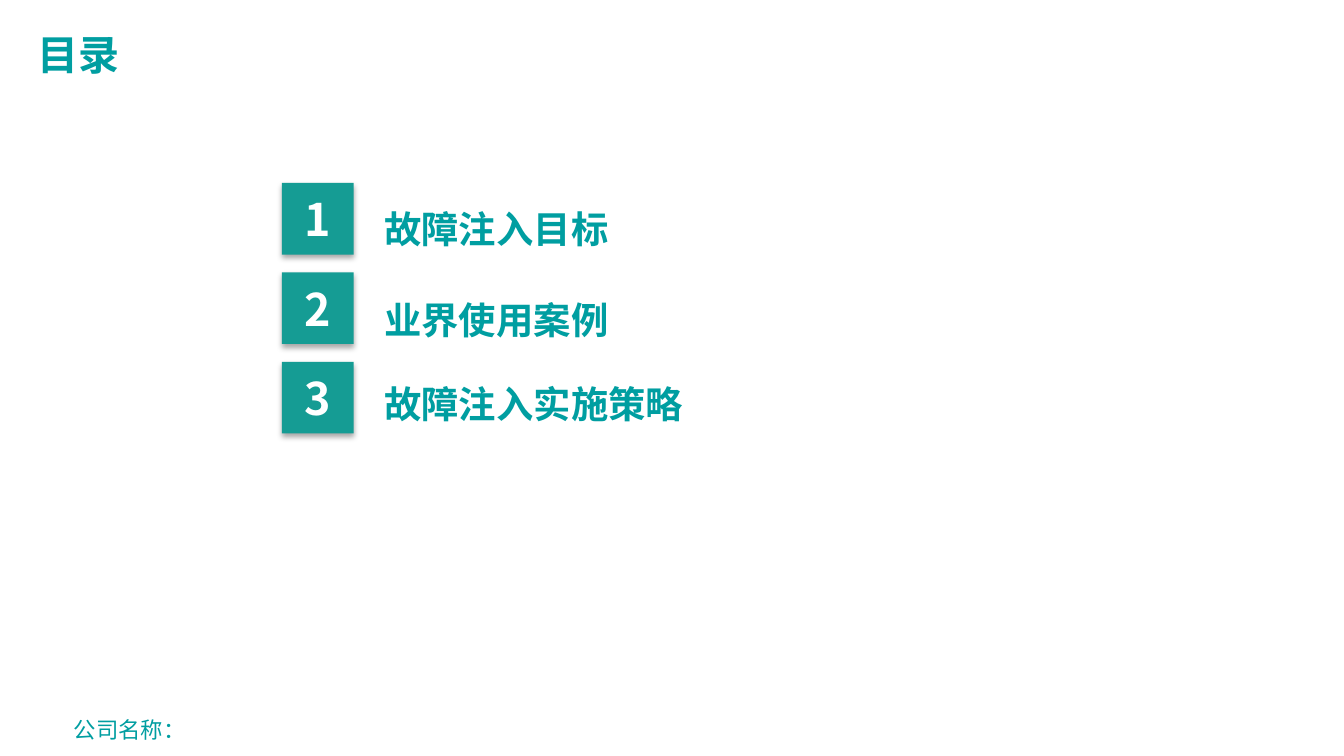
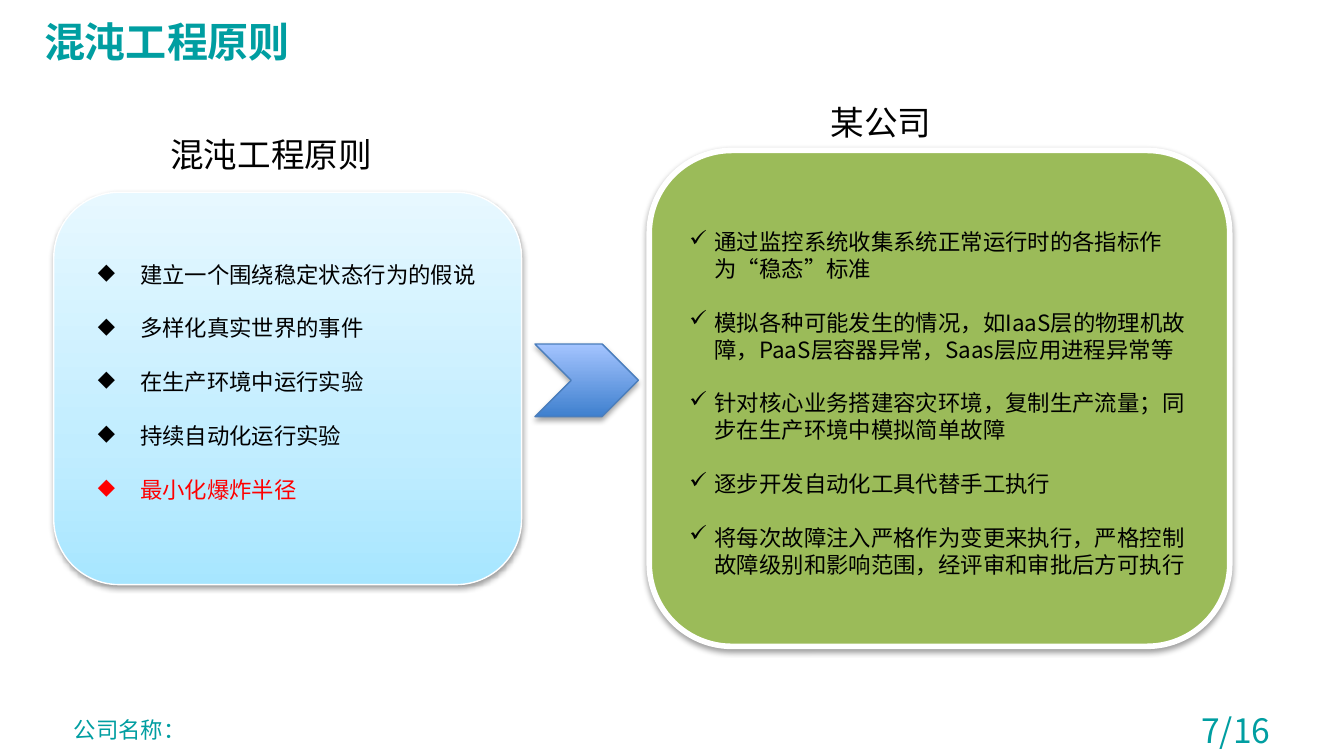
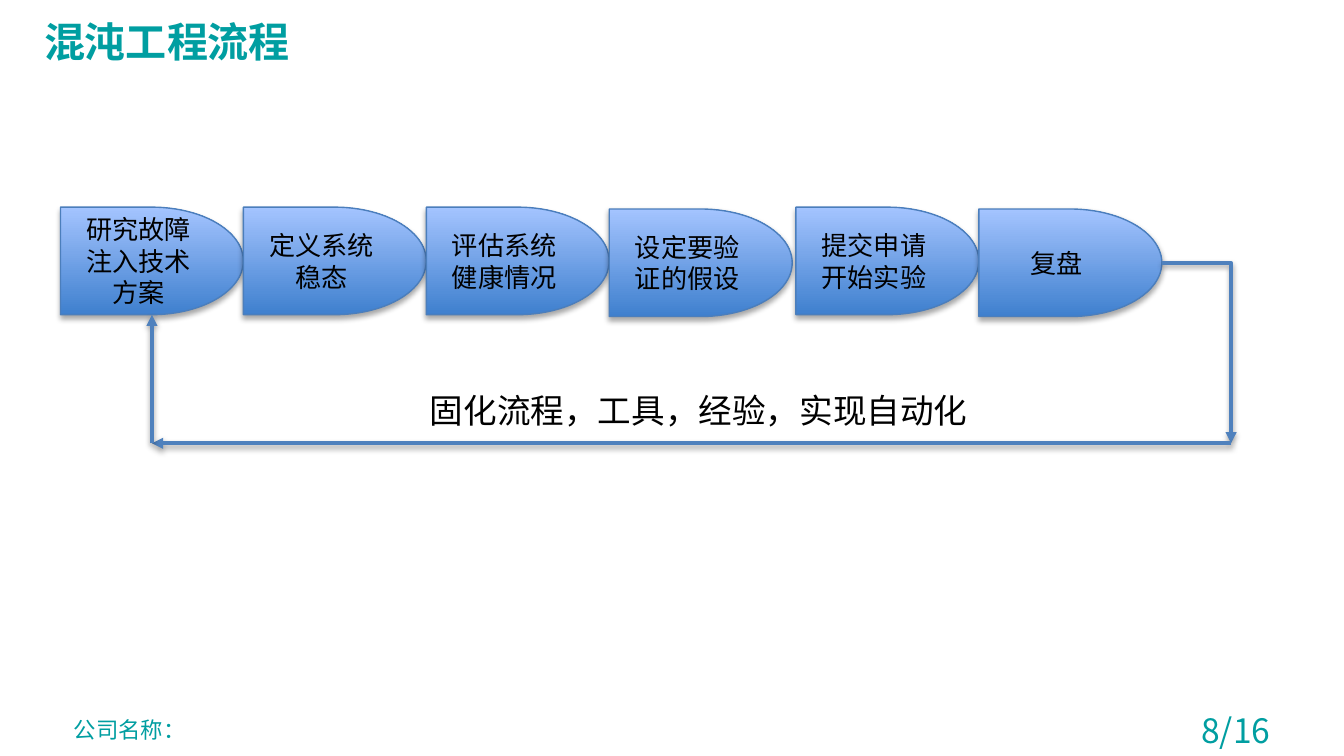
import pptx
import pptx.dml.color
import pptx.enum.shapes
import pptx.enum.text
import pptx.oxml
import pptx.oxml.ns
import pptx.util

Pt = pptx.util.Pt
RGB = pptx.dml.color.RGBColor
SHAPE = pptx.enum.shapes.MSO_SHAPE
CONNECTOR = pptx.enum.shapes.MSO_CONNECTOR
ANCHOR = pptx.enum.text.MSO_ANCHOR
ALIGN = pptx.enum.text.PP_ALIGN
qn = pptx.oxml.ns.qn

TEAL = RGB(0x00, 0x9E, 0xA1)
BADGE_TEAL = RGB(0x15, 0x9C, 0x94)
WHITE = RGB(0xFF, 0xFF, 0xFF)
BLACK = RGB(0x00, 0x00, 0x00)
RED = RGB(0xFF, 0x00, 0x00)
GREEN = RGB(0x9B, 0xBB, 0x59)
EDGE_BLUE = RGB(0x4B, 0x7E, 0xBC)
ARROW_BLUE = RGB(0x4F, 0x81, 0xBD)
BLUE_STOPS = [(0, RGB(0x3F, 0x80, 0xCE)), (100, RGB(0xA4, 0xC4, 0xFF))]
SKY_STOPS = [(0, RGB(0xA7, 0xE6, 0xFF)), (35, RGB(0xC1, 0xED, 0xFF)), (100, RGB(0xE7, 0xF8, 0xFF))]

FONT = "Noto Sans CJK SC"
SOFT = {"alpha": 35, "dist": 1.8}
DEEP = {"alpha": 38, "dist": 1.6}
TITLE = {"size": Pt(22), "bold": True, "color": TEAL}
ENTRY = {"size": Pt(20), "bold": True, "color": TEAL}
BADGE = {"size": Pt(24), "bold": True, "color": WHITE}
HEADING = {"size": Pt(18), "color": BLACK}
BODY = {"size": Pt(12), "color": BLACK}
STEP = {"size": Pt(14), "color": BLACK}
FOOTER = {"size": Pt(12), "color": TEAL}
PAGE = {"size": Pt(18), "color": TEAL}


def element(xml):
    """Build a drawing element from its inner tag text."""
    head, rest = xml.split(" ", 1)
    return pptx.oxml.parse_xml(f"{head} {pptx.oxml.ns.nsdecls('a')} {rest}")


def apply(target, values):
    """Set every named attribute on the target."""
    for name, value in values.items():
        setattr(target, name, value)


def write(paragraph, text, look):
    """Add one run with the given look."""
    run = paragraph.add_run()
    run.text = text
    apply(run.font, {"name": FONT, **{k: v for k, v in look.items() if k != "color"}})
    run.font.color.rgb = look["color"]
    run.font._element.find(qn("a:latin")).addnext(element(f'<a:ea typeface="{FONT}"/>'))


def label(slide, box, text, look, frame={}, paragraph={}):
    """Place a one-paragraph text box."""
    text_frame = slide.shapes.add_textbox(*map(Pt, box)).text_frame
    apply(text_frame, {"word_wrap": True, **frame})
    apply(text_frame.paragraphs[0], paragraph)
    write(text_frame.paragraphs[0], text, look)


def cast_shadow(effects, alpha, dist):
    """Add a downward shadow to an effect list."""
    effects.append(element(
        f'<a:outerShdw blurRad="{Pt(3.1)}" dist="{Pt(dist)}" dir="5400000" rotWithShape="0">'
        f'<a:srgbClr val="000000"><a:alpha val="{alpha * 1000}"/></a:srgbClr></a:outerShdw>'))


def block(slide, kind, box, fill, edge, shadow, text="", look=None):
    """Place a filled shape with an optional edge and centred text."""
    shape = slide.shapes.add_shape(kind, *map(Pt, box))
    if isinstance(fill, list):
        stops = "".join(f'<a:gs pos="{at * 1000}"><a:srgbClr val="{color}"/></a:gs>' for at, color in fill)
        shape._element.spPr.insert(2, element(
            f'<a:gradFill rotWithShape="1"><a:gsLst>{stops}</a:gsLst>'
            '<a:lin ang="16200000" scaled="0"/></a:gradFill>'))
    else:
        shape.fill.solid()
        shape.fill.fore_color.rgb = fill
    if edge:
        shape.line.color.rgb, shape.line.width = edge[0], Pt(edge[1])
    else:
        shape.line.fill.background()
    shape.shadow.inherit = False
    cast_shadow(shape._element.spPr.find(qn("a:effectLst")), **shadow)
    if text:
        apply(shape.text_frame, {"word_wrap": True, "vertical_anchor": ANCHOR.MIDDLE})
        paragraph = shape.text_frame.paragraphs[0]
        paragraph.alignment = ALIGN.CENTER
        write(paragraph, text, look)
    return shape


def arrow(slide, kind, start, end):
    """Draw a shadowed arrow between two points."""
    line = slide.shapes.add_connector(kind, *map(Pt, start + end))
    line.line.color.rgb, line.line.width = ARROW_BLUE, Pt(2)
    line.line._get_or_add_ln().append(element('<a:tailEnd type="triangle"/>'))
    effects = element("<a:effectLst />")
    line._element.spPr.append(effects)
    cast_shadow(effects, **DEEP)
    return line


def new_slide(deck, title="", page=""):
    """Add a blank slide with the shared title and footer."""
    slide = deck.slides.add_slide(deck.slide_layouts[6])
    middle = {"vertical_anchor": ANCHOR.MIDDLE}
    label(slide, (32.4, 378, 108, 26), "公司名称：", FOOTER, middle)
    if page:
        label(slide, (576, 378, 111.6, 26.6), page, PAGE, middle, {"alignment": ALIGN.RIGHT})
    if title:
        label(slide, (16.5, 5.8, 561, 33), title, TITLE, {"vertical_anchor": ANCHOR.BOTTOM})
    return slide


def bullets(slide, box, items, mark, indent):
    """Place a spaced bullet list of (text, colour) items."""
    frame = slide.shapes.add_textbox(*map(Pt, box)).text_frame
    frame.word_wrap = True
    for index, (text, color) in enumerate(items):
        paragraph = frame.add_paragraph() if index else frame.paragraphs[0]
        if index:
            paragraph.space_before = Pt(14.4)
        properties = paragraph._p.get_or_add_pPr()
        properties.set("marL", str(Pt(indent)))
        properties.set("indent", str(-Pt(indent)))
        properties.append(element(f'<a:buChar char="{mark}"/>'))
        write(paragraph, text, {**BODY, "color": color})


def agenda(slide, left, top):
    """Place the numbered agenda entries."""
    side, pitch = 38.4, 47.9
    entries = [("故障注入目标", 6.5), ("业界使用案例", 7.3), ("故障注入实施策略", 4.3)]
    frame = {"vertical_anchor": ANCHOR.MIDDLE, "margin_left": 0, "margin_right": 0,
             "margin_top": 0, "margin_bottom": 0}
    for index, (entry, drop) in enumerate(entries):
        y = top + index * pitch
        block(slide, SHAPE.RECTANGLE, (left, y, side, side), BADGE_TEAL, None, SOFT, str(index + 1), BADGE)
        label(slide, (left + 54.8, y + drop, 390, 31.5), entry, ENTRY, frame, {"line_spacing": 1.2})


def principles(slide, left, top):
    """Place the panel of chaos engineering principles."""
    block(slide, SHAPE.ROUNDED_RECTANGLE, (left, top, 250.6, 210.2), SKY_STOPS, (WHITE, 0.75), DEEP)
    label(slide, (left + 55.4, top - 34.6, 152.6, 29), "混沌工程原则", HEADING)
    items = [
        ("建立一个围绕稳定状态行为的假说", BLACK),
        ("多样化真实世界的事件", BLACK),
        ("在生产环境中运行实验", BLACK),
        ("持续自动化运行实验", BLACK),
        ("最小化爆炸半径", RED),
    ]
    bullets(slide, (left + 16.6, top + 33.1, 221.8, 157.7), items, "◆", 22.5)


def practices(slide, left, top):
    """Place the panel of company practices."""
    block(slide, SHAPE.ROUNDED_RECTANGLE, (left, top, 311, 265.7), GREEN, (WHITE, 3), DEEP)
    label(slide, (left + 90, top - 29.5, 152.6, 29), "某公司", HEADING)
    items = [
        "通过监控系统收集系统正常运行时的各指标作为“稳态”标准",
        "模拟各种可能发生的情况，如IaaS层的物理机故障，PaaS层容器异常，Saas层应用进程异常等",
        "针对核心业务搭建容灾环境，复制生产流量；同步在生产环境中模拟简单故障",
        "逐步开发自动化工具代替手工执行",
        "将每次故障注入严格作为变更来执行，严格控制故障级别和影响范围，经评审和审批后方可执行",
    ]
    bullets(slide, (left + 14.4, top + 38.2, 287.3, 196.6), [(item, BLACK) for item in items], "✓", 13.5)


def process(slide, left, top):
    """Place the process steps and the loop back to the first."""
    width, height = 98, 57.6
    steps = [("研究故障注入技术方案", 0, 0), ("定义系统稳态", 0, 0), ("评估系统健康情况", 0, 0),
             ("设定要验证的假设", 0, 1), ("提交申请开始实验", 2, 0), ("复盘", 2, 1)]
    stages = [
        block(slide, SHAPE.FLOWCHART_DELAY, (left + index * width + shift, top + drop, width, height),
              BLUE_STOPS, (EDGE_BLUE, 0.75), SOFT, text, STEP)
        for index, (text, shift, drop) in enumerate(steps)]
    last = stages[-1]
    exit_point = (last.left.pt + width, last.top.pt + height / 2)
    corner = (659.5, top + 126.5)
    turn = (left + width / 2, corner[1])
    bend = arrow(slide, CONNECTOR.ELBOW, exit_point, corner)
    bend._element.spPr.find(qn("a:prstGeom")).set("prst", "bentConnector2")
    arrow(slide, CONNECTOR.STRAIGHT, corner, turn)
    back = arrow(slide, CONNECTOR.STRAIGHT, turn, (turn[0], top + height))
    back.end_connect(stages[0], 2)
    label(slide, (left + 190.8, top + 94.2, 304, 29), "固化流程，工具，经验，实现自动化", HEADING)


def main():
    """Build the three slides and save them."""
    deck = pptx.Presentation()
    deck.slide_width, deck.slide_height = Pt(720), Pt(405)

    contents = new_slide(deck)
    label(contents, (13, 7.2, 59, 36.7), "目录", TITLE, {"word_wrap": False}, {"line_spacing": 1.2})
    agenda(contents, 151, 98)

    comparison = new_slide(deck, "混沌工程原则", "7/16")
    principles(comparison, 28.8, 103)
    practices(comparison, 347.8, 80.6)
    block(comparison, SHAPE.CHEVRON, (286.6, 184.3, 55.4, 38.9), BLUE_STOPS, (EDGE_BLUE, 0.75), SOFT)

    flow = new_slide(deck, "混沌工程流程", "8/16")
    process(flow, 32.4, 111)

    deck.save("out.pptx")


if __name__ == "__main__":
    main()
